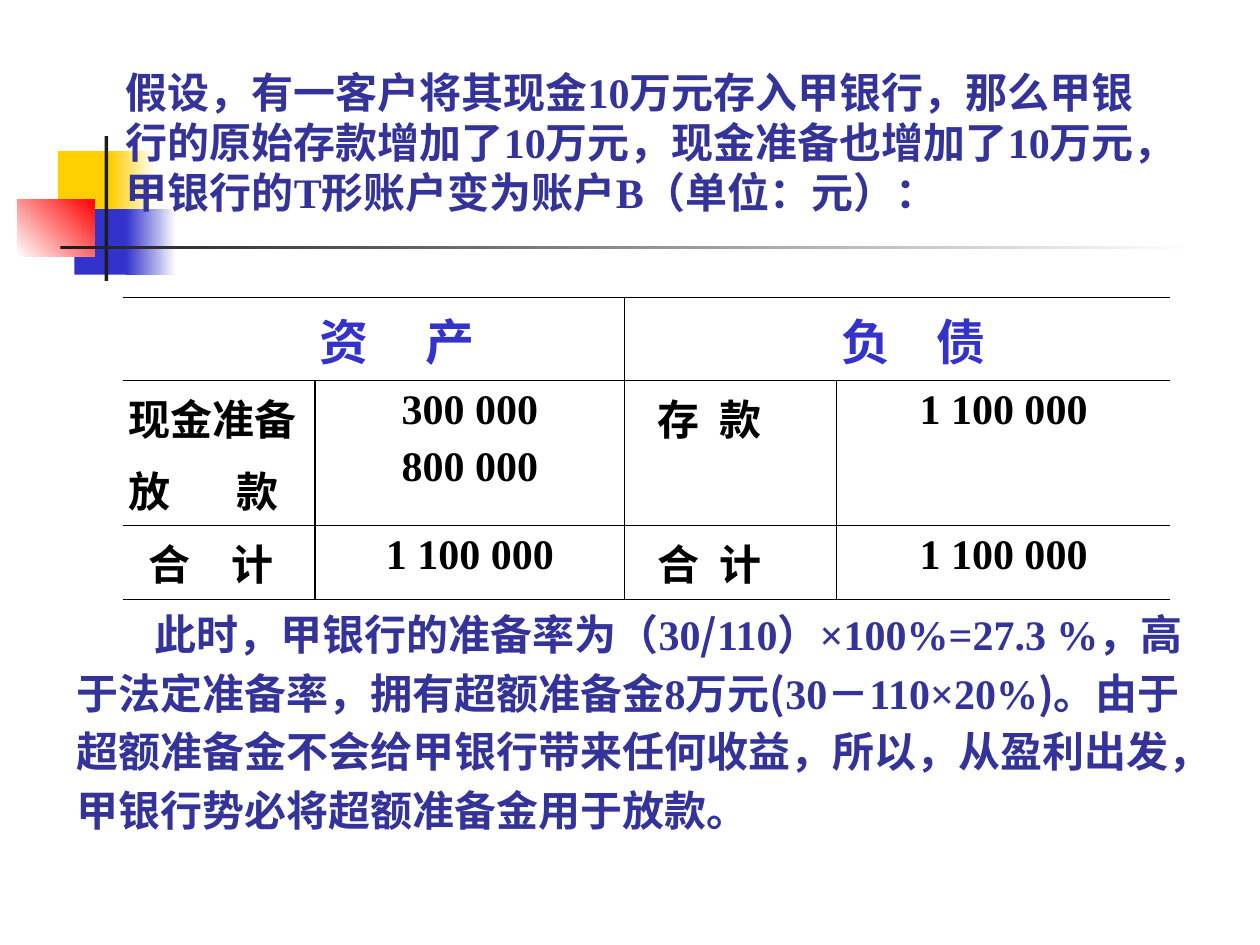
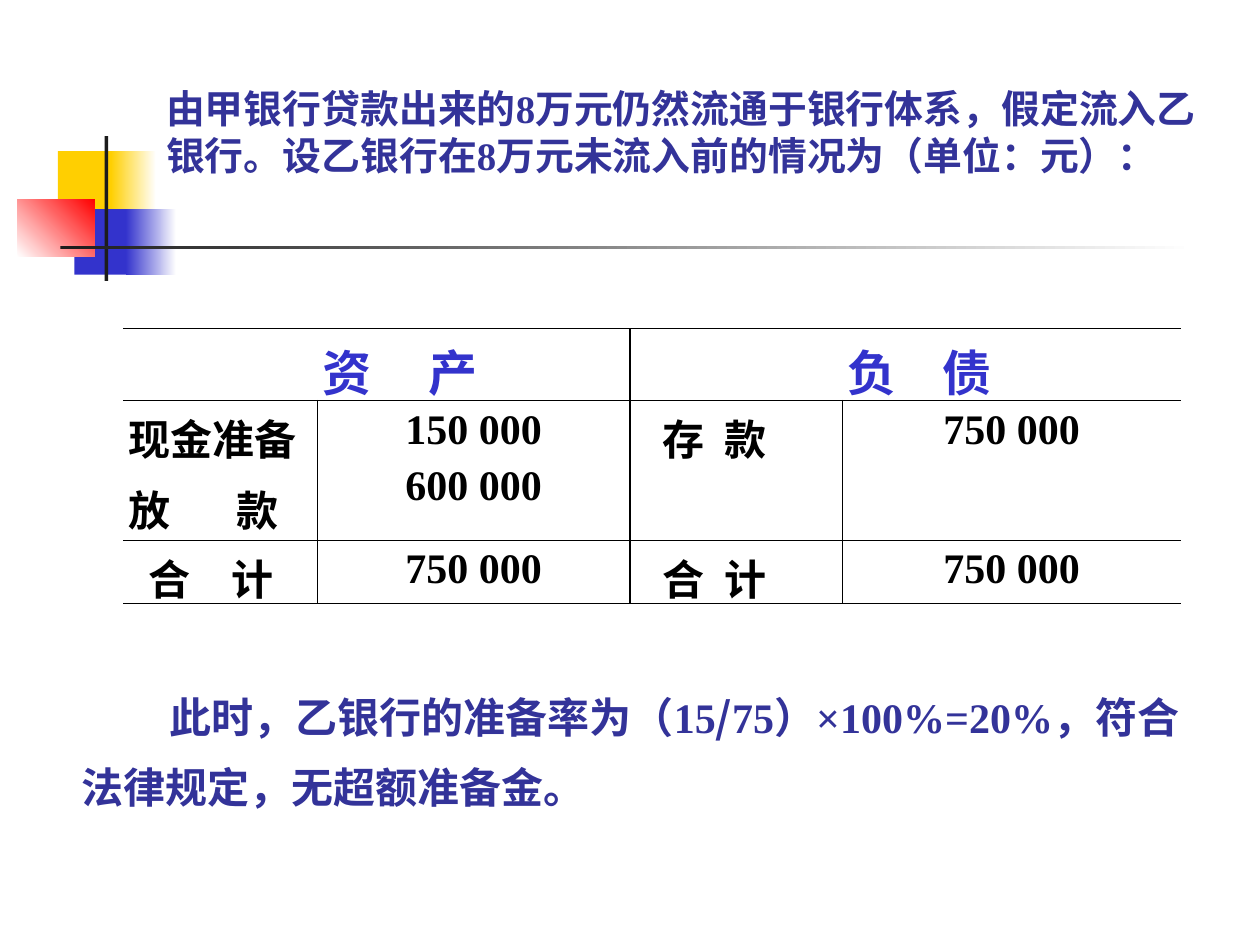
from dataclasses import dataclass
from itertools import groupby

from lxml.etree import SubElement
from pptx import Presentation
from pptx.dml.color import RGBColor
from pptx.enum.shapes import MSO_SHAPE as Shape
from pptx.enum.text import MSO_ANCHOR as Anchor, PP_ALIGN as Align
from pptx.oxml import parse_xml
from pptx.oxml.ns import nsdecls, qn
from pptx.util import Inches, Pt

YELLOW, BLUE, RED, DARK = "FFCF01", "3333CC", "FF0000", "1C1C1C"
WHITE, BLACK, INDIGO, SHADOW = "FFFFFF", "000000", "333399", "B2B2B2"
SERIF, SANS, CHINESE = "Times New Roman", "Cabin", "Noto Sans CJK SC"
ROW_HEIGHTS = (0.55, 1.11, 0.48)
THICK, THIN = 0.75, 0.45


@dataclass(frozen=True)
class Block:
    """A rectangle of the corner ornament, plain or fading."""
    left: float
    top: float
    width: float
    height: float
    color: str
    fade_to: str = ""
    angle: int = 0


@dataclass(frozen=True)
class TextBlock:
    """A shadowed paragraph with its place, size and line pitch."""
    left: float
    top: float
    width: float
    height: float
    text: str
    size: float
    pitch: float
    indent: float = 0


@dataclass(frozen=True)
class Entry:
    """The lines of one account cell and their style."""
    lines: tuple[str, ...] = ()
    tabs: tuple[float, ...] = ()
    font: str = SANS
    size: int = 24
    color: str = BLACK


@dataclass(frozen=True)
class Account:
    """A bank's T account: place, column widths and amounts."""
    top: float
    columns: tuple[float, ...]
    cash: str
    loans: str
    total: str


@dataclass(frozen=True)
class AccountPage:
    """One slide: an introduction, an account and a conclusion."""
    intro: TextBlock
    account: Account
    conclusion: TextBlock


ORNAMENT = (
    Block(0.46, 1.2, 0.48, 0.52, YELLOW),
    Block(0.88, 1.2, 0.36, 0.52, YELLOW, WHITE),
    Block(0.59, 1.66, 0.46, 0.52, BLUE),
    Block(1, 1.66, 0.4, 0.52, BLUE, WHITE),
    Block(0.14, 1.58, 0.61, 0.46, WHITE, RED, 45),
    Block(0.83, 1.08, 0.03, 1.15, DARK),
    Block(0.48, 1.95, 9, 0.03, DARK, WHITE),
)

PAGES = (
    AccountPage(
        TextBlock(0.9, 0.48, 8.43, 1.38,
                  "假设，有一客户将其现金10万元存入甲银行，那么甲银行的原始存款增加了10万元，"
                  "现金准备也增加了10万元，甲银行的T形账户变为账户B（单位：元）：", 24, 28.6),
        Account(2.36, (1.52, 2.46, 1.68, 2.65), "300 000", "800 000", "1 100 000"),
        TextBlock(0.51, 4.72, 9, 2.4,
                  "此时，甲银行的准备率为（30/110）×100%=27.3 %，高于法定准备率，"
                  "拥有超额准备金8万元(30－110×20%)。由于超额准备金不会给甲银行带来任何收益，"
                  "所以，从盈利出发，甲银行势必将超额准备金用于放款。", 24, 33.4, 0.62),
    ),
    AccountPage(
        TextBlock(1.22, 0.62, 8.59, 1.26,
                  "由甲银行贷款出来的8万元仍然流通于银行体系，假定流入乙银行。"
                  "设乙银行在8万元未流入前的情况为（单位：元）：", 22.2, 26.9),
        Account(2.61, (1.54, 2.48, 1.69, 2.68), "150 000", "600 000", "750 000"),
        TextBlock(0.55, 5.28, 9.02, 1.3,
                  "此时，乙银行的准备率为（15/75）×100%=20%，符合法律规定，无超额准备金。",
                  24, 40, 0.7),
    ),
)


def rgb(color: str) -> RGBColor:
    """Turn a hex string into a colour."""
    return RGBColor.from_string(color)


def style_span(span, size: float, color: str, font: str, shadow: bool = False) -> None:
    """Format a bold run, with a soft text shadow if asked."""
    span.font.size = Pt(size)
    span.font.bold = True
    span.font.color.rgb = rgb(color)
    properties = span.font._element
    if shadow:
        properties.append(parse_xml(
            f'<a:effectLst {nsdecls("a")}><a:outerShdw blurRad="0" dist="35921" dir="2700000">'
            f'<a:srgbClr val="{SHADOW}"/></a:outerShdw></a:effectLst>'))
    span.font.name = font
    SubElement(properties, qn("a:ea")).set("typeface", CHINESE)


def draw_block(page, block: Block) -> None:
    """Draw one rectangle of the ornament."""
    box = page.shapes.add_shape(Shape.RECTANGLE, Inches(block.left), Inches(block.top),
                                Inches(block.width), Inches(block.height))
    box.shadow.inherit = False
    box.line.fill.background()
    if block.fade_to:
        box.fill.gradient()
        box.fill.gradient_angle = block.angle
        for stop, color in zip(box.fill.gradient_stops, (block.color, block.fade_to)):
            stop.color.rgb = rgb(color)
    else:
        box.fill.solid()
        box.fill.fore_color.rgb = rgb(block.color)


def draw_text(page, block: TextBlock) -> None:
    """Draw a shadowed paragraph, with ASCII slashes and brackets in the Chinese font."""
    box = page.shapes.add_textbox(Inches(block.left), Inches(block.top),
                                  Inches(block.width), Inches(block.height))
    box.text_frame.word_wrap = True
    para = box.text_frame.paragraphs[0]
    para.line_spacing = Pt(block.pitch)
    if block.indent:
        para._p.get_or_add_pPr().set("indent", str(Inches(block.indent)))
    for is_mark, letters in groupby(block.text, lambda letter: letter in "/()"):
        span = para.add_run()
        span.text = "".join(letters)
        style_span(span, block.size, INDIGO, CHINESE if is_mark else SERIF, True)


def account_rows(account: Account) -> tuple[tuple[Entry, ...], ...]:
    """Lay out the entries of a T account."""
    def heading(text: str, tab: float) -> Entry:
        return Entry((text,), (tab,), size=28, color=BLUE)

    def amounts(*lines: str) -> Entry:
        return Entry(lines, font=SERIF)

    right_tabs = (0.22, 0.71)
    return (
        (Entry(), heading("资\t产", 0.84), Entry(), heading("负\t债", 0.75)),
        (Entry(("现金准备", "放\t款"), (0.86,)), amounts(account.cash, account.loans),
         Entry(("\t存\t款",), right_tabs), amounts(account.total)),
        (Entry(("\t合\t计",), (0.16, 0.82)), amounts(account.total),
         Entry(("\t合\t计",), right_tabs), amounts(account.total)),
    )


def set_borders(cell, row: int, column: int) -> None:
    """Rule the rows, and the columns where the account is divided."""
    def divider(edge: int) -> float:
        return THICK if edge == 2 or (edge in (1, 3) and row > 0) else 0

    last = len(ROW_HEIGHTS) - 1
    widths = {"lnL": divider(column), "lnR": divider(column + 1),
              "lnT": THICK if row == 0 else THIN, "lnB": THICK if row == last else THIN}
    properties = cell._tc.get_or_add_tcPr()
    for index, (tag, width) in enumerate(widths.items()):
        paint = (f'<a:solidFill><a:srgbClr val="{BLACK}"/></a:solidFill>' if width
                 else "<a:noFill/>")
        properties.insert(index, parse_xml(
            f'<a:{tag} {nsdecls("a")} w="{Pt(width)}">{paint}</a:{tag}>'))


def fill_cell(cell, entry: Entry, row: int) -> None:
    """Write an entry into a cell."""
    cell.fill.background()
    cell.margin_left = cell.margin_right = Inches(0.04)
    cell.margin_top = cell.margin_bottom = Inches(0.05)
    cell.vertical_anchor = Anchor.MIDDLE if row == 0 else Anchor.TOP
    cell.text_frame.text = "\n".join(entry.lines)
    for index, para in enumerate(cell.text_frame.paragraphs):
        para.alignment = Align.CENTER if entry.font == SERIF else Align.LEFT
        if index:
            para.space_before = Pt(6)
        if entry.tabs:
            tab_list = SubElement(para._p.get_or_add_pPr(), qn("a:tabLst"))
            for position in entry.tabs:
                SubElement(tab_list, qn("a:tab"), pos=str(Inches(position)), algn="l")
        for span in para.runs:
            style_span(span, entry.size, entry.color, entry.font)


def draw_account(page, account: Account) -> None:
    """Draw a T account as a table."""
    rows = account_rows(account)
    frame = page.shapes.add_table(len(rows), len(account.columns), Inches(0.98),
                                  Inches(account.top), Inches(sum(account.columns)),
                                  Inches(sum(ROW_HEIGHTS)))
    table = frame.table
    table.first_row = table.horz_banding = False
    for column, width in zip(table.columns, account.columns):
        column.width = Inches(width)
    for row, height in zip(table.rows, ROW_HEIGHTS):
        row.height = Inches(height)
    for row, entries in enumerate(rows):
        for column, entry in enumerate(entries):
            cell = table.cell(row, column)
            fill_cell(cell, entry, row)
            set_borders(cell, row, column)


def main() -> None:
    """Build the deck."""
    deck = Presentation()
    deck.slide_width, deck.slide_height = Inches(10), Inches(7.5)
    for content in PAGES:
        page = deck.slides.add_slide(deck.slide_layouts[6])
        for block in ORNAMENT:
            draw_block(page, block)
        draw_account(page, content.account)
        draw_text(page, content.conclusion)
        draw_text(page, content.intro)
    deck.save("out.pptx")


if __name__ == "__main__":
    main()
